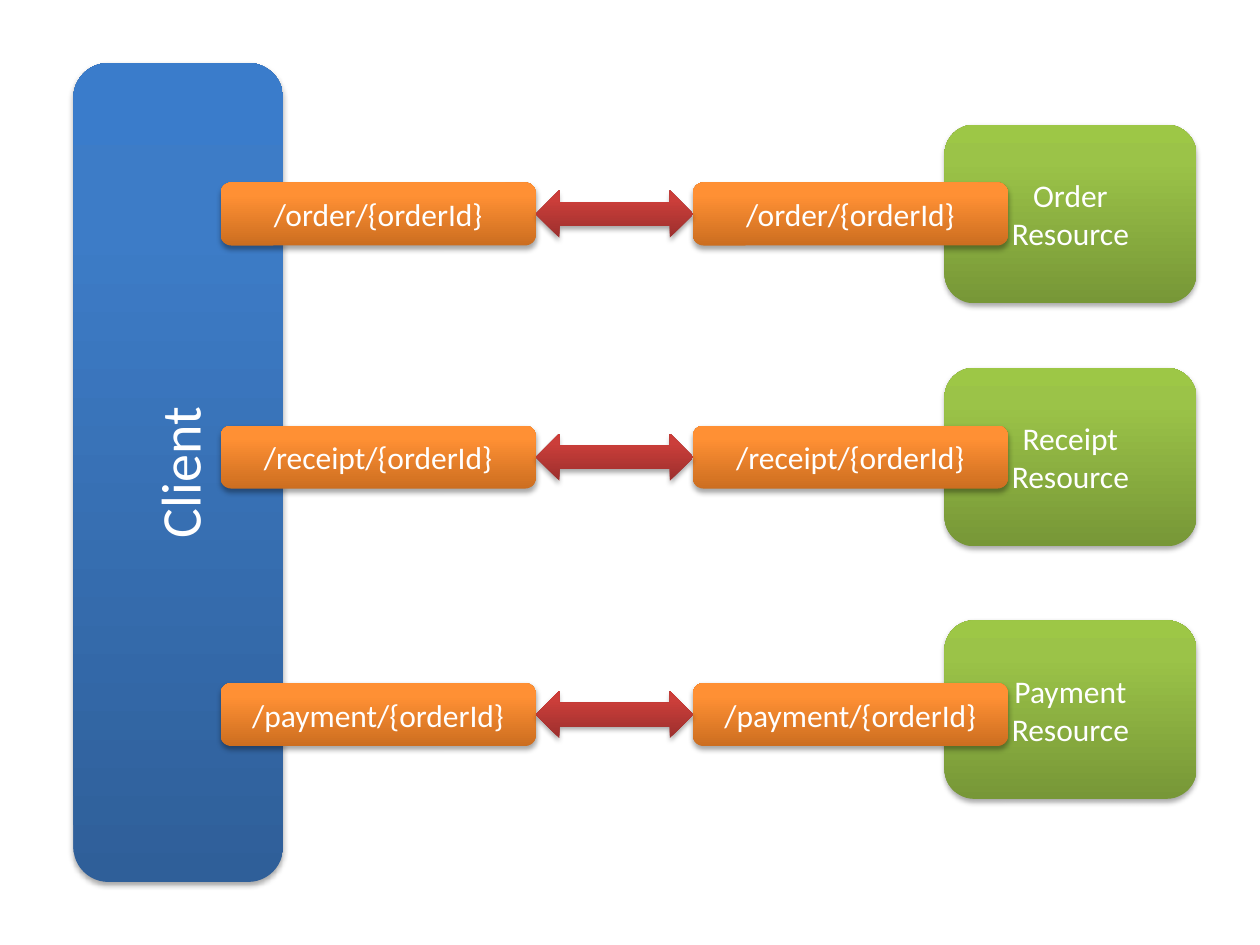
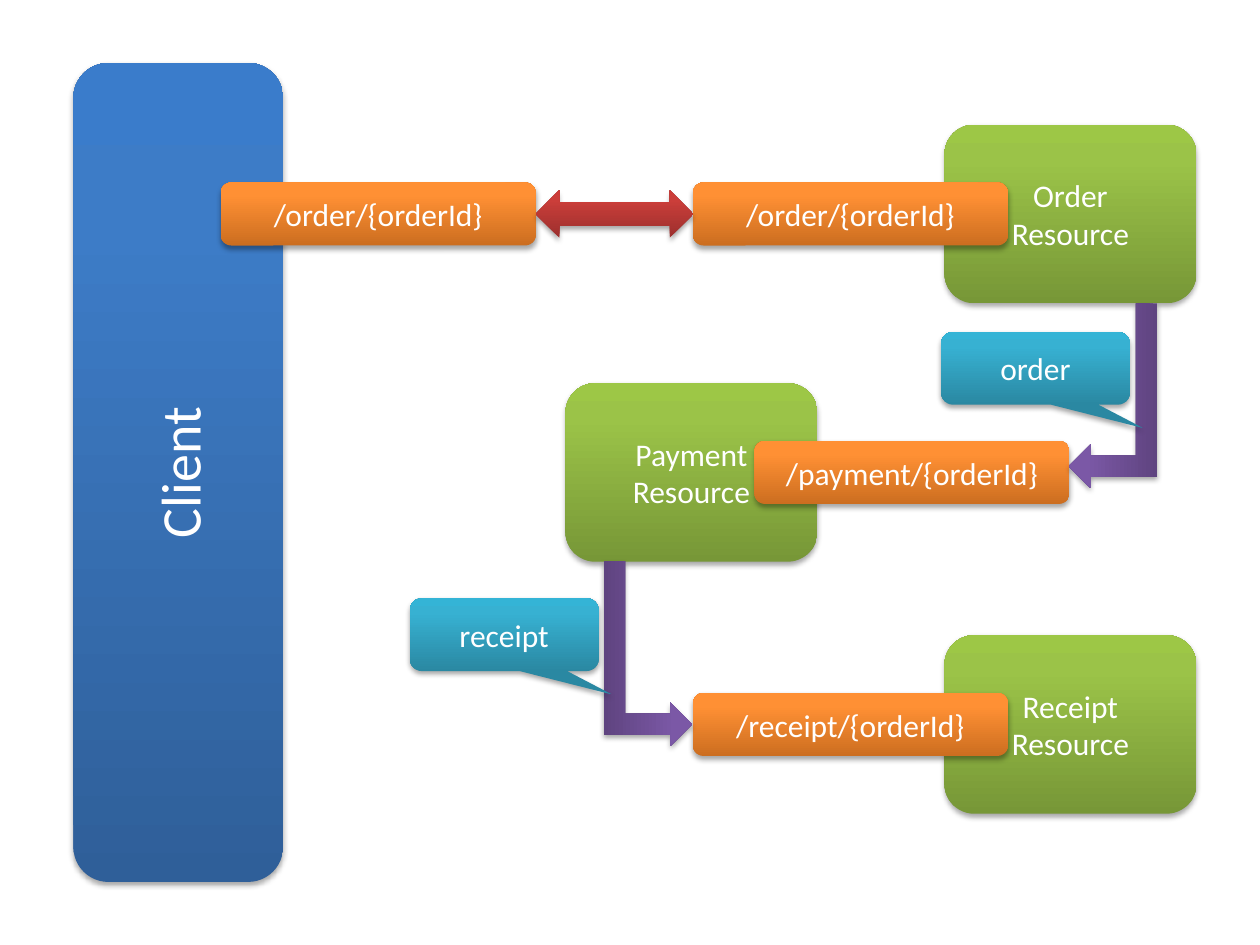
"""Builds two diagrams of a client talking to order, receipt and payment resources."""
from dataclasses import dataclass

from lxml import etree
from pptx import Presentation
from pptx import util as u
from pptx.dml.color import RGBColor
from pptx.enum import shapes, text
from pptx.oxml import ns

FORM = shapes.MSO_SHAPE


@dataclass(frozen=True)
class Theme:
    """Colours run from the bottom of a shape to its top."""
    client: tuple = ("2F5F99", "3D7CC7", "3A7CCB")
    resource: tuple = ("779737", "9BC348", "9DC746")
    endpoint: tuple = ("CC6E20", "FF9034", "FF9136")
    exchange: tuple = ("9C2F2D", "CB3E3A", "CE3B37")
    handover: tuple = ("5F4480", "7B58A6", "7C57A8")
    message: tuple = ("2A88A2", "37B1D2", "34B4D6")
    ink: str = "FFFFFF"
    font: str = "Calibri"
    body_size: int = 18
    client_size: int = 32


THEME = Theme()
STOPS = (0, 80000, 100000)
RESOURCE_SIZE = (5.08, 3.6)
ENDPOINT_SIZE = (6.35, 1.27)
EXCHANGE_SIZE = (3.18, 0.95)
HANDOVER_SIZE = (3.73, 1.78)
MESSAGE_SIZE = (3.81, 1.47)
RESOURCE_LEFT = 19.04
CLIENT_END_LEFT = 4.45
EXCHANGE_LEFT = 10.8
SERVER_END_LEFT = 13.97
ORDER_TOP = 3.68


def add_node(parent, tag, **attributes):
    """Append a DrawingML element to its parent."""
    node = etree.SubElement(parent, ns.qn(tag))
    for key, value in attributes.items():
        node.set(key, str(value))
    return node


def add_form(slide, form, left, top, size, colours):
    """Add a borderless preset shape with a vertical gradient and a soft shadow."""
    shape = slide.shapes.add_shape(form, u.Cm(left), u.Cm(top), *map(u.Cm, size))
    properties = shape._element.spPr
    gradient = add_node(properties, "a:gradFill", rotWithShape=1)
    stops = add_node(gradient, "a:gsLst")
    for position, colour in zip(STOPS, colours):
        add_node(add_node(stops, "a:gs", pos=position), "a:srgbClr", val=colour)
    add_node(gradient, "a:lin", ang=16200000, scaled=0)
    shape.line.fill.background()
    shape.shadow.inherit = False
    effects = properties.find(ns.qn("a:effectLst"))
    shadow = add_node(effects, "a:outerShdw", blurRad=u.Pt(3.1), dist=u.Pt(1.8),
                      dir=5400000, rotWithShape=0)
    add_node(add_node(shadow, "a:srgbClr", val="000000"), "a:alpha", val=35000)
    return shape


def write(shape, lines, size=THEME.body_size):
    """Write centred lines into a shape, one paragraph each."""
    frame = shape.text_frame
    frame.word_wrap = True
    frame.vertical_anchor = text.MSO_ANCHOR.MIDDLE
    for index, line in enumerate(lines):
        paragraph = frame.add_paragraph() if index else frame.paragraphs[0]
        paragraph.alignment = text.PP_ALIGN.CENTER
        run = paragraph.add_run()
        run.text = line
        run.font.name = THEME.font
        run.font.size = u.Pt(size)
        run.font.color.rgb = RGBColor.from_string(THEME.ink)


def add_client(slide):
    """Add the tall client block with upward text."""
    client = add_form(slide, FORM.ROUNDED_RECTANGLE, 1.48, 1.27, (4.23, 16.51), THEME.client)
    write(client, ["Client"], THEME.client_size)
    client.text_frame._txBody.bodyPr.set("vert", "vert270")


def add_endpoint(slide, topic, left, top):
    """Add the address tag of a topic."""
    endpoint = add_form(slide, FORM.ROUNDED_RECTANGLE, left, top, ENDPOINT_SIZE, THEME.endpoint)
    write(endpoint, [f"/{topic}/{{orderId}}"])


def add_resource(slide, topic, endpoint_top, left=RESOURCE_LEFT,
                 endpoint_left=SERVER_END_LEFT, drop=0):
    """Add a resource centred on its endpoint, apart from a small drop."""
    top = endpoint_top - (RESOURCE_SIZE[1] - ENDPOINT_SIZE[1]) / 2 - drop
    resource = add_form(slide, FORM.ROUNDED_RECTANGLE, left, top, RESOURCE_SIZE, THEME.resource)
    write(resource, [topic.capitalize(), "Resource"])
    add_endpoint(slide, topic, endpoint_left, endpoint_top)


def add_exchange(slide, endpoint_top):
    """Add the two-way arrow between the endpoints of a row."""
    top = endpoint_top + (ENDPOINT_SIZE[1] - EXCHANGE_SIZE[1]) / 2
    add_form(slide, FORM.LEFT_RIGHT_ARROW, EXCHANGE_LEFT, top, EXCHANGE_SIZE, THEME.exchange)


def add_handover(slide, left, top, rotation, flips):
    """Add the bent arrow from one resource to the next."""
    handover = add_form(slide, FORM.BENT_UP_ARROW, left, top, HANDOVER_SIZE, THEME.handover)
    handover.adjustments[0] = 0.24
    handover.rotation = rotation
    for flip in flips:
        handover._element.spPr.xfrm.set(flip, "1")


def add_message(slide, topic, left, top):
    """Add the callout naming what is handed over."""
    message = add_form(slide, FORM.ROUNDED_RECTANGULAR_CALLOUT, left, top,
                       MESSAGE_SIZE, THEME.message)
    message.adjustments[0] = 0.57
    message.adjustments[1] = 0.82
    write(message, [topic])


def build_direct_calls(slide):
    """Show the client calling every resource itself."""
    rows = (("order", ORDER_TOP, 0), ("receipt", 8.58, 0), ("payment", 13.77, 0.1))
    for topic, top, drop in rows:
        add_resource(slide, topic, top, drop=drop)
    add_client(slide)
    for topic, top, _ in rows:
        add_endpoint(slide, topic, CLIENT_END_LEFT, top)
        add_exchange(slide, top)


def build_chained_calls(slide):
    """Show the client calling one resource that passes the work on."""
    add_resource(slide, "order", ORDER_TOP)
    add_resource(slide, "payment", 8.89, left=11.4, endpoint_left=15.21)
    add_resource(slide, "receipt", 13.97)
    add_client(slide)
    add_endpoint(slide, "order", CLIENT_END_LEFT, ORDER_TOP)
    add_exchange(slide, ORDER_TOP)
    add_handover(slide, 20.57, 7.09, 90, ["flipV"])
    add_handover(slide, 11.2, 12.29, 270, ["flipH", "flipV"])
    add_message(slide, "order", 18.97, 6.69)
    add_message(slide, "receipt", 8.26, 12.06)


def main():
    """Build and save the presentation."""
    deck = Presentation()
    deck.slide_width, deck.slide_height = u.Cm(25.4), u.Cm(19.05)
    blank = deck.slide_layouts[6]
    for build in (build_direct_calls, build_chained_calls):
        build(deck.slides.add_slide(blank))
    deck.save("out.pptx")


if __name__ == "__main__":
    main()
